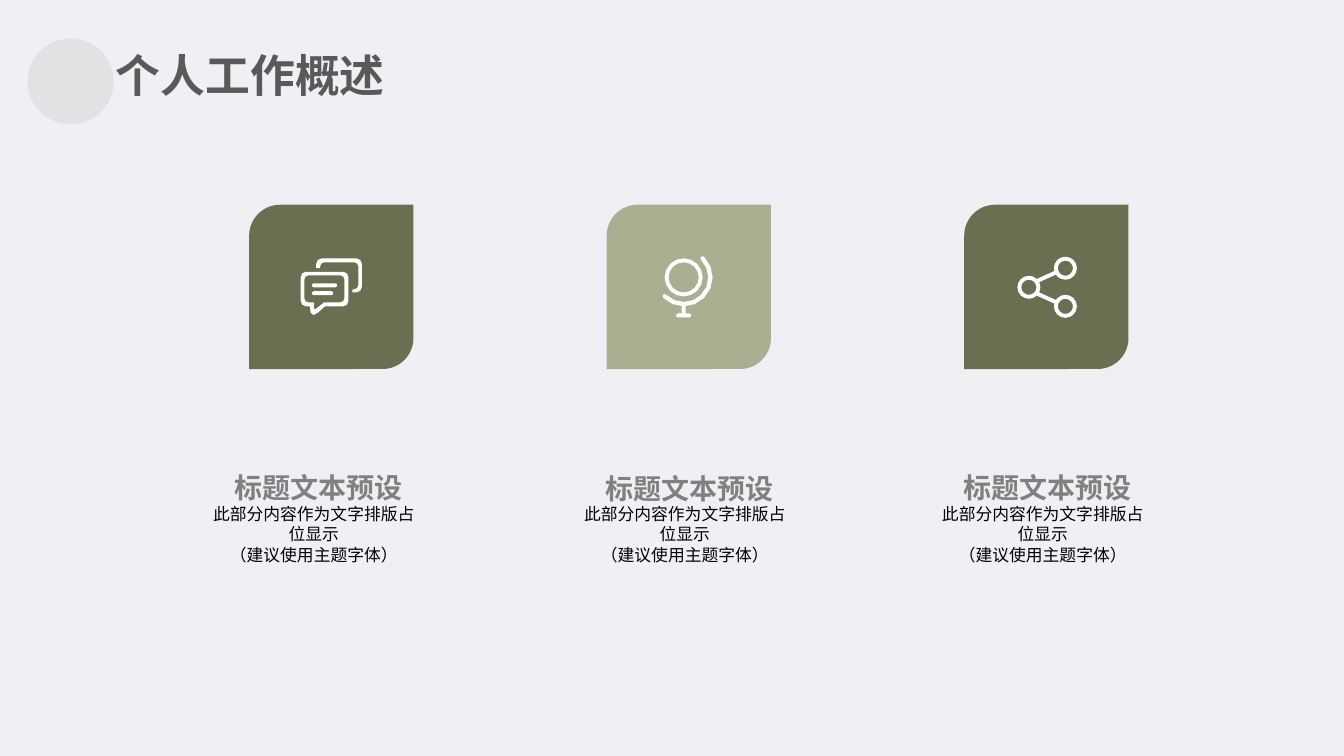
import math
from dataclasses import dataclass

import pptx
import pptx.dml.color
import pptx.enum.shapes
import pptx.enum.text
import pptx.oxml.ns
import pptx.util
from lxml import etree

Cm = pptx.util.Cm
Align = pptx.enum.text.PP_ALIGN
Anchor = pptx.enum.text.MSO_ANCHOR
Preset = pptx.enum.shapes.MSO_SHAPE
qn = pptx.oxml.ns.qn

Point = tuple[float, float]
Contour = list[Point]

FONT = "Noto Sans CJK SC"
OLIVE, SAGE, WHITE = "6B6E51", "ABAE91", "FFFFFF"
HEADING = "标题文本预设"
DESCRIPTION = "此部分内容作为文字排版占位显示\v（建议使用主题字体）"
TILE_LEFT, TILE_TOP, TILE_SIZE, TILE_PITCH = 6.28, 5.16, 4.14, 9.01


@dataclass
class Topic:
    tile_color: str
    icon: list[Contour]
    caption_left: float
    heading_top: float


@dataclass
class TextStyle:
    size: float
    color: str
    bold: bool
    align: Align
    anchor: Anchor
    wrap: bool = True


TITLE_STYLE = TextStyle(32, "595959", True, Align.JUSTIFY, Anchor.TOP)
HEADING_STYLE = TextStyle(20, "808080", True, Align.CENTER, Anchor.BOTTOM, wrap=False)
DESCRIPTION_STYLE = TextStyle(12, "000000", False, Align.CENTER, Anchor.TOP)


def arc(x: float, y: float, radius: float, start: float, end: float) -> Contour:
    """Points on an arc; degrees run clockwise from the right."""
    steps = math.ceil(abs(end - start) / (45 if radius < 0.15 else 22.5))
    angles = [math.radians(start + (end - start) * i / steps) for i in range(steps + 1)]
    return [(x + radius * math.cos(a), y + radius * math.sin(a)) for a in angles]


def ring(x: float, y: float, outer: float, inner: float) -> list[Contour]:
    return [arc(x, y, outer, 0, 360)[:-1], arc(x, y, inner, 360, 0)[:-1]]


def rounded(left: float, top: float, right: float, bottom: float, radius: float,
            tail: tuple[Point, ...] = ()) -> Contour:
    """Rounded rectangle whose bottom edge may carry a tail."""
    x1, x2, y1, y2 = left + radius, right - radius, top + radius, bottom - radius
    return [*arc(x1, y1, radius, 180, 270), *arc(x2, y1, radius, 270, 360),
            *arc(x2, y2, radius, 0, 90), *tail, *arc(x1, y2, radius, 90, 180)]


def chat_icon() -> list[Contour]:
    back_bubble = [
        (1.69, 1.6), *arc(1.83, 1.49, 0.14, 180, 270), *arc(2.7, 1.49, 0.14, 270, 360),
        *arc(2.7, 2.07, 0.14, 0, 90), (2.6, 2.21), (2.6, 2.13),
        *arc(2.65, 2.03, 0.1, 90, 0), *arc(2.65, 1.55, 0.1, 0, -90),
        *arc(1.89, 1.55, 0.1, -90, -180), (1.79, 1.6)]
    outer_tail = ((1.91, 2.56), (1.73, 2.72), (1.62, 2.78), (1.55, 2.72), (1.53, 2.56))
    inner_tail = ((1.89, 2.46), (1.66, 2.64), (1.63, 2.61), (1.63, 2.46))
    return [back_bubble,
            rounded(1.3, 1.69, 2.5, 2.56, 0.13, outer_tail),
            rounded(1.39, 1.78, 2.4, 2.46, 0.1, inner_tail),
            rounded(1.58, 1.98, 2.22, 2.08, 0.05),
            rounded(1.58, 2.18, 2.12, 2.28, 0.05)]


def globe_icon() -> list[Contour]:
    x, y, outer, inner = 1.94, 1.83, 0.73, 0.62
    middle, cap = (outer + inner) / 2, (outer - inner) / 2
    reach = middle * math.sqrt(0.5)
    arm = [*arc(x, y, outer, -45, 135), *arc(x - reach, y + reach, cap, 135, 315),
           *arc(x, y, inner, 135, -45), *arc(x + reach, y - reach, cap, 135, 315)]
    stem = [(1.89, 2.56), (1.99, 2.56), (1.99, 2.74), (1.89, 2.74)]
    return [*ring(x, y, 0.48, 0.38), arm, stem, rounded(1.75, 2.74, 2.13, 2.84, 0.05)]


def share_icon() -> list[Contour]:
    hub_y = 2.08
    lower_link = [(1.89, 2.21), (2.31, 2.4), (2.27, 2.49), (1.83, 2.29)]
    upper_link = [(x, 2 * hub_y - y) for x, y in lower_link]
    nodes = [(1.63, hub_y), (2.55, 1.6), (2.55, 2.56)]
    return [lower_link, upper_link,
            *(contour for x, y in nodes for contour in ring(x, y, 0.29, 0.19))]


def paint(shape, color: str, opacity: int = 100) -> None:
    shape.shadow.inherit = False
    shape.line.fill.background()
    shape.fill.solid()
    shape.fill.fore_color.rgb = pptx.dml.color.RGBColor.from_string(color)
    if opacity < 100:
        rgb = shape.fill._xPr.find(".//" + qn("a:srgbClr"))
        etree.SubElement(rgb, qn("a:alpha")).set("val", str(opacity * 1000))


def write(shape, text: str, style: TextStyle) -> None:
    frame = shape.text_frame
    frame.text = text
    frame.word_wrap = style.wrap
    frame.auto_size = pptx.enum.text.MSO_AUTO_SIZE.NONE
    frame.vertical_anchor = style.anchor
    frame.margin_left = frame.margin_right = frame.margin_top = frame.margin_bottom = 0
    paragraph = frame.paragraphs[0]
    paragraph.alignment = style.align
    paragraph.line_spacing = 1.0
    for run in paragraph.runs:
        run.font.size = pptx.util.Pt(style.size)
        run.font.bold = style.bold
        run.font.color.rgb = pptx.dml.color.RGBColor.from_string(style.color)
        run.font.name = FONT
        etree.SubElement(run.font._element, qn("a:ea")).set("typeface", FONT)


def draw_icon(shapes, contours: list[Contour], left: float, top: float) -> None:
    outlines = [[(Cm(left + x), Cm(top + y)) for x, y in contour] for contour in contours]
    builder = shapes.build_freeform(*outlines[0][0])
    builder.add_line_segments(outlines[0][1:], close=True)
    for outline in outlines[1:]:
        builder.move_to(*outline[0])
        builder.add_line_segments(outline[1:], close=True)
    paint(builder.convert_to_shape(), WHITE)


def draw_topic(shapes, topic: Topic, left: float) -> None:
    tile = shapes.add_shape(Preset.ROUND_2_DIAG_RECTANGLE, Cm(left), Cm(TILE_TOP),
                            Cm(TILE_SIZE), Cm(TILE_SIZE))
    tile.adjustments[0], tile.adjustments[1] = 0.188, 0
    paint(tile, topic.tile_color)
    draw_icon(shapes, topic.icon, left, TILE_TOP)
    heading = shapes.add_textbox(Cm(topic.caption_left), Cm(topic.heading_top),
                                 Cm(5.51), Cm(1.17))
    write(heading, HEADING, HEADING_STYLE)
    description = shapes.add_textbox(Cm(topic.caption_left), Cm(12.7), Cm(5.26), Cm(0.81))
    write(description, DESCRIPTION, DESCRIPTION_STYLE)


def main() -> None:
    deck = pptx.Presentation()
    deck.slide_width, deck.slide_height = Cm(33.87), Cm(19.05)
    slide = deck.slides.add_slide(deck.slide_layouts[5])
    slide.background.fill.solid()
    slide.background.fill.fore_color.rgb = pptx.dml.color.RGBColor.from_string("EEF0F4")

    title = slide.shapes.title
    title.left, title.top, title.width, title.height = Cm(2.92), Cm(1.19), Cm(8.89), Cm(1.63)
    write(title, "个人工作概述", TITLE_STYLE)
    title_disc = slide.shapes.add_shape(Preset.OVAL, Cm(0.69), Cm(0.97), Cm(2.18), Cm(2.16))
    paint(title_disc, OLIVE, opacity=10)

    topics = [Topic(OLIVE, chat_icon(), 5.28, 11.53),
              Topic(SAGE, globe_icon(), 14.63, 11.56),
              Topic(OLIVE, share_icon(), 23.65, 11.53)]
    for index, topic in enumerate(topics):
        draw_topic(slide.shapes, topic, TILE_LEFT + index * TILE_PITCH)
    deck.save("out.pptx")


if __name__ == "__main__":
    main()
